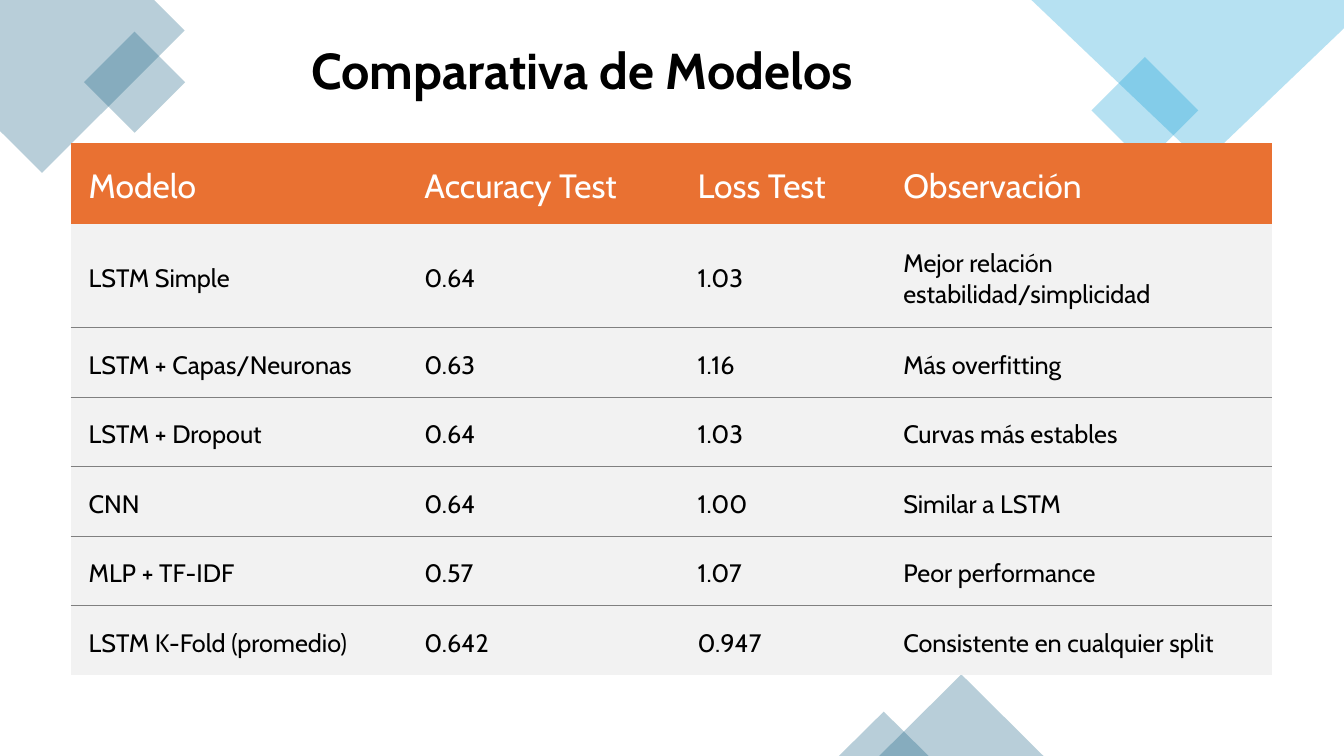
from lxml import etree
from pptx import Presentation
from pptx.dml.color import RGBColor
from pptx.enum.shapes import MSO_SHAPE
from pptx.enum.text import MSO_ANCHOR, MSO_AUTO_SIZE
from pptx.oxml.ns import qn
from pptx.util import Inches, Pt

RECT = MSO_SHAPE.RECTANGLE
TRIANGLE = MSO_SHAPE.ISOSCELES_TRIANGLE
MIDDLE = MSO_ANCHOR.MIDDLE
GROW = MSO_AUTO_SIZE.SHAPE_TO_FIT_TEXT

COLORS = {
    "teal": "156082",
    "sky": "0F9ED5",
    "head": "E97132",
    "body": "F2F2F2",
    "rule": "808080",
    "white": "FFFFFF",
    "black": "000000",
}


class Deck:
    font = "Cabin"
    alpha = 30

    def __init__(self, width, height):
        self.prs = Presentation()
        self.prs.slide_width = Inches(width)
        self.prs.slide_height = Inches(height)
        self.slide = self.prs.slides.add_slide(self.prs.slide_layouts[6])

    def tint(self, shape, color, turn):
        shape.shadow.inherit = False
        shape.rotation = turn
        shape.line.fill.background()
        shape.fill.solid()
        shape.fill.fore_color.rgb = RGBColor.from_string(COLORS[color])
        clr = next(shape.element.spPr.iter(qn("a:srgbClr")))
        etree.SubElement(clr, qn("a:alpha"), val=str(self.alpha * 1000))

    def shape(self, kind, box, color, turn=0):
        item = self.slide.shapes.add_shape(kind, *map(Inches, box))
        self.tint(item, color, turn)

    def free(self, left, top, points, color, turn):
        spots = [(Inches(left + x), Inches(top + y)) for x, y in points]
        path = self.slide.shapes.build_freeform(*spots[0], scale=1.0)
        path.add_line_segments(spots[1:], close=True)
        self.tint(path.convert_to_shape(), color, turn)

    def run(self, frame, text, size, color, bold=False):
        run = frame.paragraphs[0].add_run()
        run.text = text
        run.font.name = self.font
        run.font.size = Pt(size)
        run.font.bold = bold
        run.font.color.rgb = RGBColor.from_string(COLORS[color])

    def text(self, box, text, size, color, bold=False):
        frame = self.slide.shapes.add_textbox(*map(Inches, box)).text_frame
        frame.word_wrap = True
        frame.auto_size = GROW
        self.run(frame, text, size, color, bold)

    def edge(self, cell, side, ruled):
        props = cell._tc.get_or_add_tcPr()
        line = etree.SubElement(props, qn("a:ln" + side), w=str(Pt(0.75)))
        if ruled:
            fill = etree.SubElement(line, qn("a:solidFill"))
            etree.SubElement(fill, qn("a:srgbClr"), val=COLORS["rule"])
        else:
            etree.SubElement(line, qn("a:noFill"))

    def cell(self, cell, text, size, color, back, above, below):
        cell.margin_left = cell.margin_right = Inches(0.18)
        cell.margin_top = Inches(0.15)
        cell.margin_bottom = Inches(0.09)
        cell.vertical_anchor = MIDDLE
        for side, ruled in zip("LRTB", (False, False, above, below)):
            self.edge(cell, side, ruled)
        cell.fill.solid()
        cell.fill.fore_color.rgb = RGBColor.from_string(COLORS[back])
        self.run(cell.text_frame, text, size, color)

    def table(self, box, widths, heights, rows):
        frame = self.slide.shapes.add_table(
            len(rows), len(widths), *map(Inches, box))
        table = frame.table
        table.first_row = table.horz_banding = False
        for col, width in zip(table.columns, widths):
            col.width = Inches(width)
        last = len(rows) - 1
        for r, (height, row) in enumerate(zip(heights, rows)):
            table.rows[r].height = Inches(height)
            look = (18, "black", "body") if r else (24, "white", "head")
            for c, text in enumerate(row):
                self.cell(table.cell(r, c), text, *look,
                          above=r > 1, below=0 < r < last)


MODELS = [
    ("Modelo", "Accuracy Test", "Loss Test", "Observación"),
    ("LSTM Simple", "0.64", "1.03", "Mejor relación estabilidad/simplicidad"),
    ("LSTM + Capas/Neuronas", "0.63", "1.16", "Más overfitting"),
    ("LSTM + Dropout", "0.64", "1.03", "Curvas más estables"),
    ("CNN", "0.64", "1.00", "Similar a LSTM"),
    ("MLP + TF-IDF", "0.57", "1.07", "Peor performance"),
    ("LSTM K-Fold (promedio)", "0.642", "0.947",
     "Consistente en cualquier split"),
]


def main():
    deck = Deck(13.33, 7.5)
    deck.free(-0.41, -0.28,
              [(2, 1.08), (0.92, 0), (0, 0.92), (0, 1.51), (2, 1.51)],
              "teal", 315)
    deck.shape(RECT, (0.98, 0.46, 0.71, 0.71), "teal", 315)
    deck.shape(RECT, (10.98, 0.72, 0.75, 0.75), "sky", 315)
    deck.free(10.23, 0, [(0, 1.62), (3.1, 1.62), (1.4, 0), (0, 1.34)],
              "sky", 180)
    deck.shape(TRIANGLE, (8.72, 6.69, 1.63, 0.81), "teal")
    deck.shape(TRIANGLE, (8.32, 7.06, 0.89, 0.44), "teal")
    deck.table((0.7, 1.42, 11.93, 5.27), (3.33, 2.71, 2.04, 3.84),
               [0.8, 1.03] + [0.69] * 5, MODELS)
    deck.text((2.99, 0.34, 7.37, 0.71), "Comparativa de Modelos",
              36, "black", True)
    deck.prs.save("out.pptx")


if __name__ == "__main__":
    main()
